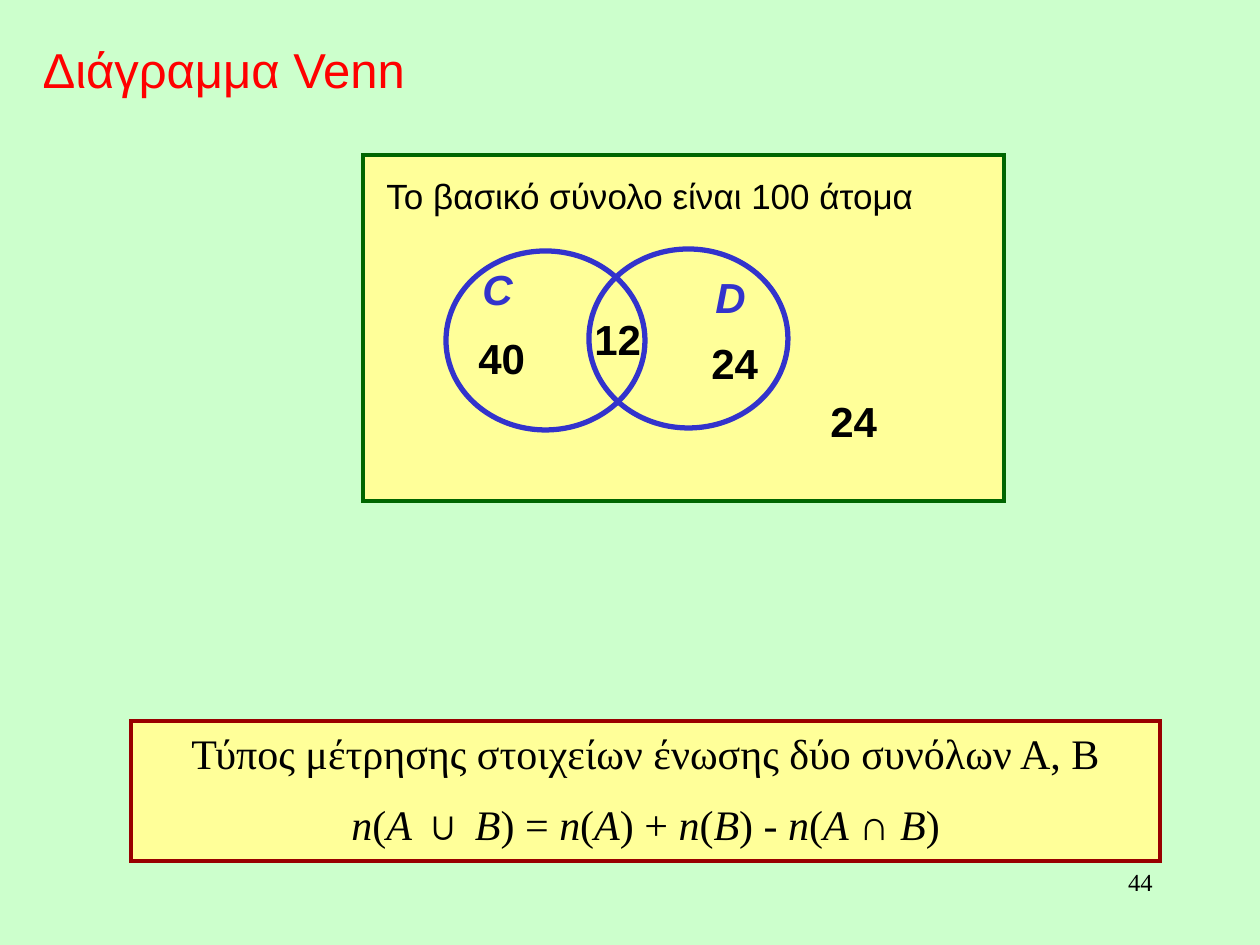
import itertools

import lxml.etree
import pptx
import pptx.dml.color
import pptx.enum.shapes
import pptx.enum.text
import pptx.oxml.ns
import pptx.util

PX = 914400 / 126
COLORS = {
    "background": "CCFFCC",
    "title": "FF0000",
    "panel": "FFFF99",
    "universe": "006600",
    "set": "3333CC",
    "formula": "990000",
    "text": "000000",
}
SHAPE = pptx.enum.shapes.MSO_SHAPE
ALIGN = pptx.enum.text.PP_ALIGN
ANCHOR = pptx.enum.text.MSO_ANCHOR


def rgb(name):
    return pptx.dml.color.RGBColor.from_string(COLORS[name])


def style(p, size, color="text", font="Arial", bold=False, italic=False, align=ALIGN.LEFT):
    """Format a paragraph and all its runs."""
    p.alignment = align
    for r in p.runs:
        r.font.name = font
        r.font.size = pptx.util.Pt(size)
        r.font.bold = bold
        r.font.italic = italic
        r.font.color.rgb = rgb(color)


prs = pptx.Presentation()
prs.slide_width = round(1260 * PX)
prs.slide_height = round(945 * PX)
s = prs.slides.add_slide(prs.slide_layouts[5])
s.background.fill.solid()
s.background.fill.fore_color.rgb = rgb("background")

# Title
title = s.shapes.title
title.left, title.top, title.width, title.height = [round(v * PX) for v in (30, 33, 494, 72)]
tf = title.text_frame
tf.text = "Διάγραμμα Venn"
tf.vertical_anchor = ANCHOR.TOP
style(tf.paragraphs[0], 28, "title")

# Universe, the two sets and, last, the formula box
for kind, box, line, width in (
    (SHAPE.RECTANGLE, (363, 155, 641, 346), "universe", 2.25),
    (SHAPE.OVAL, (446, 251, 199, 179), "set", 3),
    (SHAPE.OVAL, (589, 249, 199, 179), "set", 3),
    (SHAPE.RECTANGLE, (131, 721, 1029, 140), "formula", 2.25),
):
    sp = s.shapes.add_shape(kind, *[round(v * PX) for v in box])
    sp.shadow.inherit = False
    if kind == SHAPE.OVAL:
        sp.fill.background()
    else:
        sp.fill.solid()
        sp.fill.fore_color.rgb = rgb("panel")
    sp.line.color.rgb = rgb(line)
    sp.line.width = pptx.util.Pt(width)
    ln = sp.element.spPr.find(pptx.oxml.ns.qn("a:ln"))
    lxml.etree.SubElement(ln, pptx.oxml.ns.qn("a:miter"), lim="800000")

# Counting formula, with its letters in italics
tf = sp.text_frame
tf.word_wrap = True
tf.vertical_anchor = ANCHOR.TOP
tf.text = "Τύπος μέτρησης στοιχείων ένωσης δύο συνόλων Α, Β"
p = tf.add_paragraph()
p.space_before = pptx.util.Pt(12)
formula = "n(A ∪ B) = n(A) + n(B) - n(A ∩ B)"
for _, part in itertools.groupby(formula, str.isalpha):
    p.add_run().text = "".join(part)
for p in tf.paragraphs:
    style(p, 24, font="Times New Roman", align=ALIGN.CENTER)
for r in tf.paragraphs[1].runs:
    r.font.italic = r.text.isalpha()

# Labels: text, box, format
set_name = dict(size=24, color="set", bold=True, italic=True)
count = dict(size=24, bold=True)
for text, box, fmt in (
    ("Το βασικό σύνολο είναι 100 άτομα", (374, 168, 620, 55), dict(size=20)),
    ("C", (470, 257, 63, 63), set_name),
    ("D", (703, 265, 63, 63), set_name),
    ("40", (466, 326, 116, 63), count),
    ("12", (582, 307, 116, 63), count),
    ("24", (699, 331, 116, 63), count),
    ("24", (818, 389, 116, 63), count),
    ("44", (903, 861, 262, 63), dict(size=14, font="Times New Roman", align=ALIGN.RIGHT)),
):
    tf = s.shapes.add_textbox(*[round(v * PX) for v in box]).text_frame
    tf.word_wrap = True
    tf.text = text
    style(tf.paragraphs[0], **fmt)

prs.save("out.pptx")
